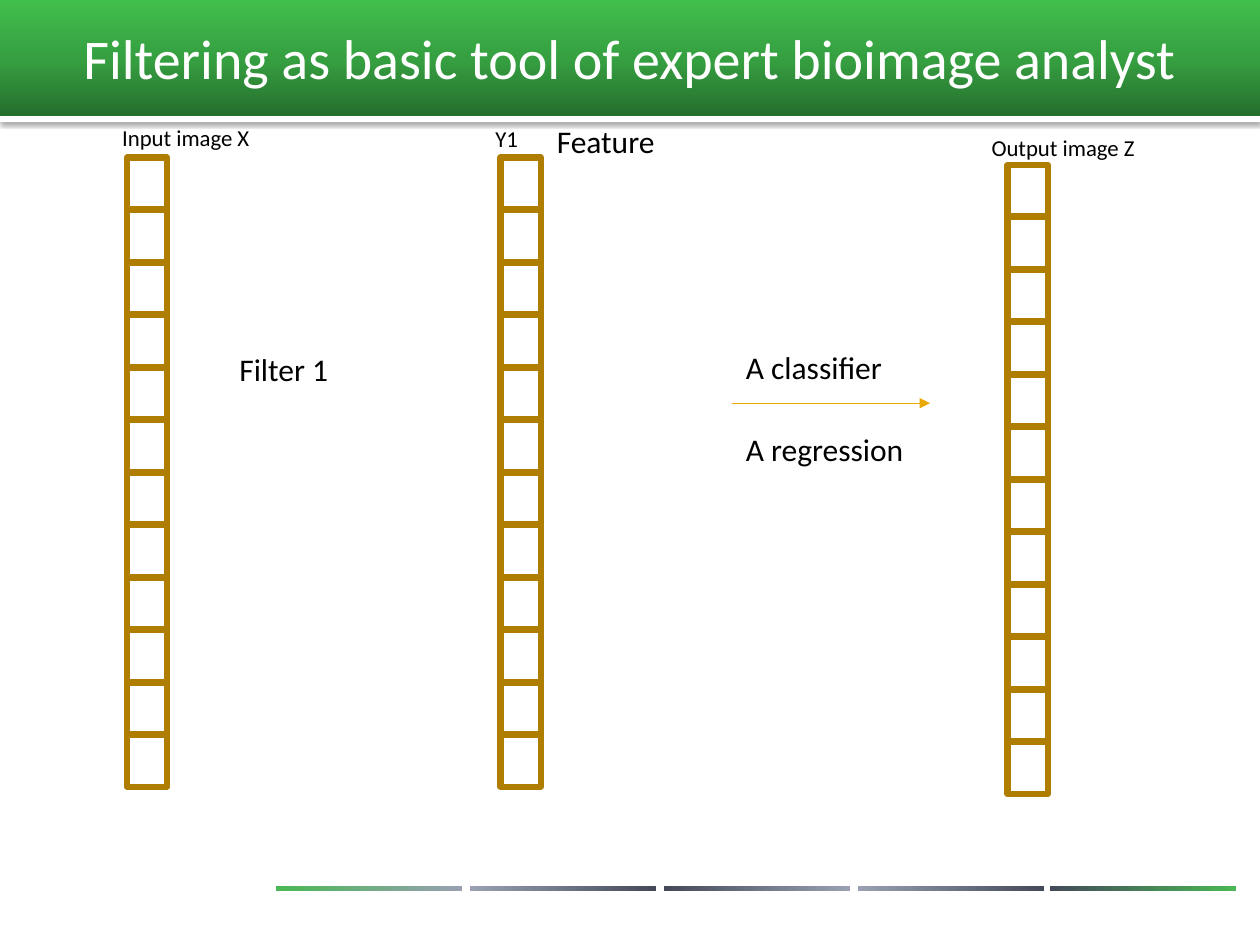
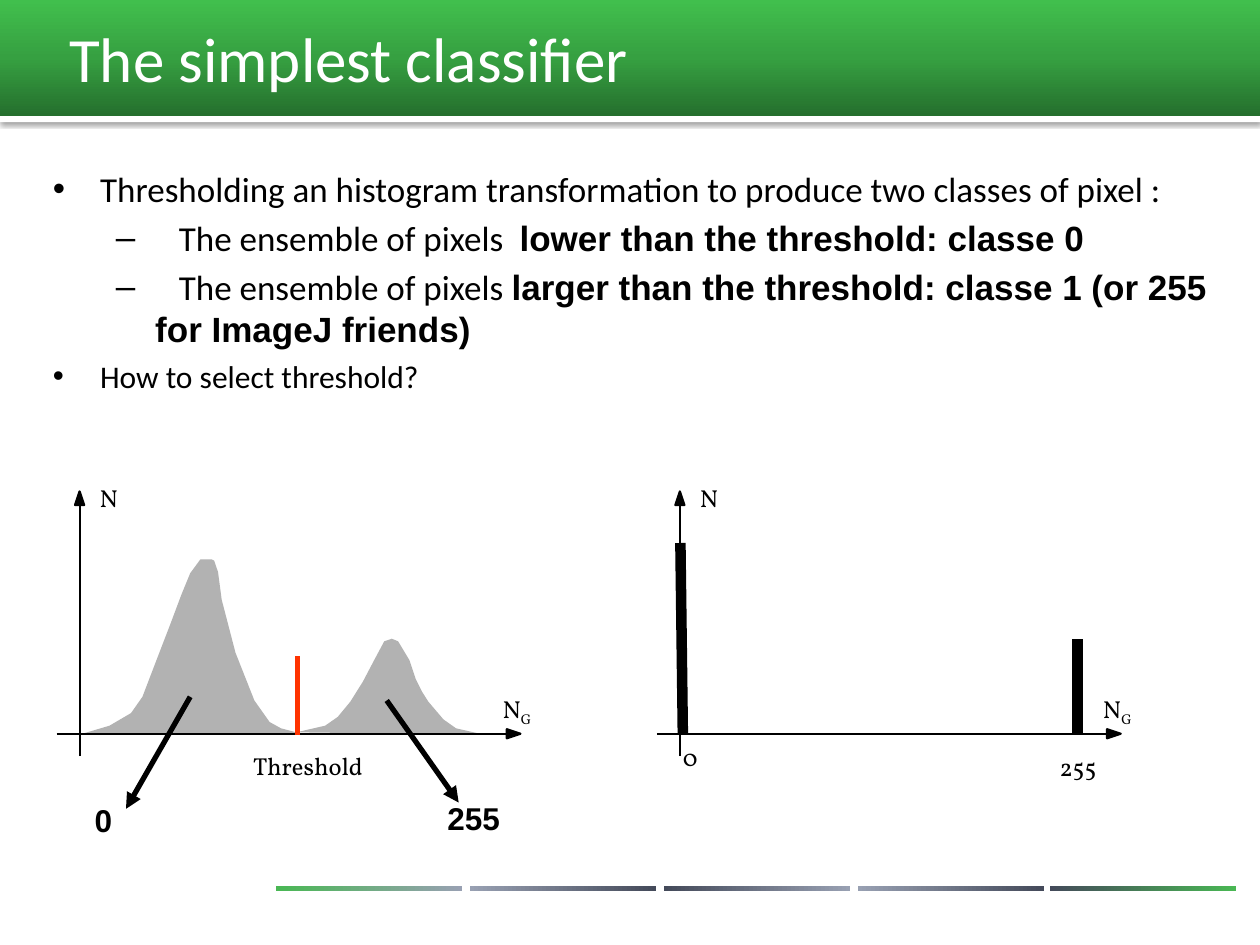
"""Build two slides on filtering and thresholding for image analysis."""
import copy
from dataclasses import dataclass

import pptx
import pptx.dml.color
import pptx.enum.shapes
import pptx.enum.text
import pptx.oxml
import pptx.oxml.ns
import pptx.util
from lxml import etree

Pt = pptx.util.Pt
qn = pptx.oxml.ns.qn
ALIGN = pptx.enum.text.PP_ALIGN
RECT = pptx.enum.shapes.MSO_SHAPE.RECTANGLE


@dataclass(frozen=True)
class Theme:
    """Colours, fonts and type sizes shared by the slides."""

    black: str = "000000"
    white: str = "FFFFFF"
    gold: str = "AF7E00"
    amber: str = "EAA900"
    gray: str = "B2B2B2"
    red: str = "FF3300"
    band: tuple = ("256F2D", "36A041", "41BF4D")
    green: str = "49B754"
    silver: str = "98A0B2"
    slate: str = "444A5A"
    body: str = "Calibri"
    strong: str = "Arial"
    axis: str = "Vollkorn"
    caption: float = 13
    axis_size: float = 14
    label: float = 18
    lead: float = 20
    inset: float = 3.6


T = Theme()

FILTER_TITLE = ("Filtering as basic tool of expert bioimage analyst", 32, ALIGN.CENTER)
CLASSIFIER_TITLE = ("The simplest classifier", 36, ALIGN.LEFT)

FOOTER_BARS = [
    (157.7, (T.green, T.silver)),
    (268.5, (T.silver, T.slate)),
    (379.4, (T.slate, T.silver)),
    (490.2, (T.silver, T.slate)),
    (599.8, (T.slate, T.green)),
]

PIXEL_COUNT, PIXEL_PITCH, PIXEL_SIZE = 12, 30, (23, 29.5)
PIXEL_COLUMNS = [(72.5, 90), (286, 90), (575.7, 94.2)]
FILTER_LABELS = [
    ("Input image X", T.caption, (66.2, 67, 104, 22)),
    ("Y1", T.caption, (279.4, 67.7, 104, 22)),
    ("Output image Z", T.caption, (563, 72.7, 104, 22)),
    ("Feature", T.label, (314.6, 66.2, 91, 27)),
    ("Filter 1", T.label, (133.2, 196.6, 91, 27)),
    ("A classifier", T.label, (422.6, 195.1, 113, 27)),
    ("A regression", T.label, (422.6, 241.9, 113, 27)),
]

BULLETS = [
    (0, T.lead, [("Thresholding an histogram transformation to produce two classes of pixel :", False)]),
    (1, T.lead, [("\tThe ensemble of pixels  ", False),
                 ("lower than the threshold: classe 0", True)]),
    (1, T.lead, [("\tThe ensemble of pixels ", False),
                 ("larger than the threshold: classe 1 (or 255 for ImageJ friends)", True)]),
    (0, T.label, [("How to select threshold?", False)]),
]
BULLET_LEVELS = [("•", 27, -27), ("–", 58.5, -22.5)]

HUMPS = [
    [(169.2, 418.5), (185.8, 414.7), (193, 409.7), (200.2, 401), (207.4, 389.5),
     (213.8, 377.3), (219.6, 366.5), (223.9, 365), (227.5, 366.5), (234, 377.3),
     (237.6, 388.1), (241.2, 395.3), (244.8, 401), (253.4, 411.1), (260.6, 416.2),
     (276.5, 419.8)],
    [(45.4, 419.8), (62.6, 414.7), (74.9, 407.5), (81.4, 398.2), (90, 375.8),
     (97.2, 357.1), (103.7, 339.8), (108.7, 327.6), (114.5, 319.7), (121, 319.7),
     (122.4, 320.4), (124.6, 326.9), (126.7, 342.7), (134.6, 373), (145.4, 400.3),
     (154.1, 412.6), (160.6, 416.2), (174.2, 419.8)],
]
GRAPH_OFFSETS = [0, 343]
GRAPH_LABELS = [
    ("Threshold", (144.7, 429.1, 78, 17)),
    ("0", (390.2, 424.1, 10, 17)),
    ("255", (605.5, 429.8, 22, 17)),
]
CLASS_BARS = [((390.2, 419), (388.8, 310.3)), ((615.6, 419.8), (615.6, 365))]
CLASS_ARROWS = [
    ("0", (50.4, 454.3, 18, 29.5), (108.7, 398.2), (72, 462.2)),
    ("255", (252, 452.9, 38, 29.5), (221, 400.3), (262.1, 458.6)),
]


def rgb(value):
    """Turn a hex string into a colour."""
    return pptx.dml.color.RGBColor.from_string(value)


def add_box(slide, frame, fill=None, line=None, width=1):
    """Add a plain rectangle."""
    box = slide.shapes.add_shape(RECT, *map(Pt, frame))
    paint(box, fill, line, width)
    return box


def paint(shape, fill=None, line=None, width=1):
    """Give a shape its fill and outline and no shadow."""
    shape.shadow.inherit = False
    if fill:
        shape.fill.solid()
        shape.fill.fore_color.rgb = rgb(fill)
    else:
        shape.fill.background()
    if line:
        shape.line.color.rgb = rgb(line)
        shape.line.width = Pt(width)
    else:
        shape.line.fill.background()


def add_gradient(slide, frame, colors, angle=0):
    """Add a rectangle with evenly spaced gradient stops."""
    box = add_box(slide, frame)
    box.fill.gradient()
    box.fill.gradient_angle = angle
    stops = box.element.spPr.find(".//" + qn("a:gsLst"))
    for stop in list(stops):
        stops.remove(stop)
    for i, color in enumerate(colors):
        stop = etree.SubElement(stops, qn("a:gs"), pos=str(100000 * i // (len(colors) - 1)))
        etree.SubElement(stop, qn("a:srgbClr"), val=color)
    return box


def add_line(slide, start, end, color, width, arrow=False):
    """Add a straight line, with an arrowhead at its end if asked."""
    line = slide.shapes.add_connector(
        pptx.enum.shapes.MSO_CONNECTOR.STRAIGHT, *map(Pt, (*start, *end)))
    line.line.color.rgb = rgb(color)
    line.line.width = Pt(width)
    properties = line.element.spPr
    if arrow:
        etree.SubElement(properties.find(qn("a:ln")), qn("a:tailEnd"), type="triangle")
    etree.SubElement(properties, qn("a:effectLst"))


def add_outline(slide, points, fill, line=None, width=1):
    """Add a closed polygon."""
    first, *rest = [tuple(map(Pt, point)) for point in points]
    builder = slide.shapes.build_freeform(*first)
    builder.add_line_segments(rest, close=True)
    paint(builder.convert_to_shape(), fill, line, width)


def set_frame(frame, inset, wrap):
    """Set equal margins and wrapping."""
    frame.word_wrap = wrap
    frame.margin_left = frame.margin_right = Pt(inset)
    frame.margin_top = frame.margin_bottom = Pt(inset)


def add_run(paragraph, text, size, font=T.body, color=T.black, bold=False):
    """Add one formatted run."""
    run = paragraph.add_run()
    run.text = text
    run.font.size = Pt(size)
    run.font.name = font
    run.font.bold = bold
    run.font.color.rgb = rgb(color)


def add_label(slide, texts, frame, size, font=T.body, bold=False, inset=T.inset, wrap=True):
    """Add a text box holding one paragraph of runs."""
    label = slide.shapes.add_textbox(*map(Pt, frame))
    set_frame(label.text_frame, inset, wrap)
    for text in texts:
        add_run(label.text_frame.paragraphs[0], text, size, font, bold=bold)
    return label


def add_axis_label(slide, texts, frame):
    """Add a label in the axis style."""
    return add_label(slide, texts, frame, T.axis_size, T.axis, inset=0, wrap=False)


def set_title(slide, text, size, align):
    """Place and format the title placeholder."""
    title = slide.shapes.title
    title.left, title.top, title.width, title.height = map(Pt, (36, 2.9, 648, 60))
    set_frame(title.text_frame, T.inset, True)
    title.text_frame.auto_size = pptx.enum.text.MSO_AUTO_SIZE.NONE
    title.text_frame.vertical_anchor = pptx.enum.text.MSO_ANCHOR.MIDDLE
    paragraph = title.text_frame.paragraphs[0]
    paragraph.alignment = align
    add_run(paragraph, text, size, color=T.white)


def decorate_layout(layout, slide):
    """Draw the band and footer once and hand them to the layout."""
    strip = add_box(slide, (0, 66.2, 720, 3.6), T.white)
    shadow = etree.SubElement(
        strip.element.spPr.find(qn("a:effectLst")), qn("a:outerShdw"),
        blurRad=str(Pt(3)), dist=str(Pt(0.8)), dir="5400000", rotWithShape="0")
    shade = etree.SubElement(shadow, qn("a:srgbClr"), val=T.black)
    etree.SubElement(shade, qn("a:alpha"), val="60000")
    parts = [strip, add_gradient(slide, (0, 0, 720, 66.2), T.band, 90)]
    parts += [add_gradient(slide, (left, 506.2, 106.5, 2.9), colors)
              for left, colors in FOOTER_BARS]
    for i, part in enumerate(parts):
        shared = copy.deepcopy(part.element)
        shared.find(".//" + qn("p:cNvPr")).set("id", str(20 + i))
        layout.shapes.element.insert(2 + i, shared)
        part.element.getparent().remove(part.element)


def build_filter_slide(slide):
    """Draw the pixel columns and the steps between them."""
    set_title(slide, *FILTER_TITLE)
    for left, top in PIXEL_COLUMNS:
        for i in range(PIXEL_COUNT):
            add_box(slide, (left, top + i * PIXEL_PITCH, *PIXEL_SIZE), line=T.gold, width=3.5)
    add_line(slide, (418.3, 230.4), (531.4, 230.4), T.amber, 0.5, arrow=True)
    for text, size, frame in FILTER_LABELS:
        add_label(slide, [text], frame, size)


def add_bullets(slide):
    """Write the bulleted text."""
    body = slide.shapes.add_textbox(*map(Pt, (26.6, 92.2, 678.3, 220)))
    set_frame(body.text_frame, T.inset, True)
    for i, (level, size, runs) in enumerate(BULLETS):
        paragraph = body.text_frame.add_paragraph() if i else body.text_frame.paragraphs[0]
        paragraph.level = level
        if i:
            paragraph.space_before = Pt(4)
        mark, margin, indent = BULLET_LEVELS[level]
        properties = list(body.element.iter(qn("a:pPr")))[-1]
        properties.set("marL", str(Pt(margin)))
        properties.set("indent", str(Pt(indent)))
        etree.SubElement(properties, qn("a:buFont"), typeface=T.strong)
        etree.SubElement(properties, qn("a:buChar"), char=mark)
        for text, strong in runs:
            add_run(paragraph, text, size, T.strong if strong else T.body, bold=strong)


def add_axes(slide, dx):
    """Draw one pair of histogram axes with its labels."""
    x, y = 45.5 + dx, 419.3
    tip = 297.4 + dx
    add_line(slide, (x, 432), (x, 287.3), T.black, 1.25)
    add_line(slide, (32.4 + dx, y), (290 + dx, y), T.black, 1.25)
    for head in ([(x, 280.8), (x + 2.6, 288.6), (x - 2.6, 288.6)],
                 [(tip, y), (tip - 7.8, y + 2.6), (tip - 7.8, y - 2.6)]):
        add_outline(slide, head, T.black, T.black, 1.25)
    add_axis_label(slide, ["N"], (56.9 + dx, 275.8, 13, 17))
    gray_level = add_axis_label(slide, ["N", "G"], (287.3 + dx, 396.7, 19.5, 19.5))
    list(gray_level.element.iter(qn("a:rPr")))[-1].set("baseline", "-25000")


def build_classifier_slide(slide):
    """Draw the bullets and both histograms."""
    set_title(slide, *CLASSIFIER_TITLE)
    add_bullets(slide)
    for hump in HUMPS:
        add_outline(slide, hump, T.gray)
    for dx in GRAPH_OFFSETS:
        add_axes(slide, dx)
    for text, frame in GRAPH_LABELS:
        add_axis_label(slide, [text], frame)
    add_line(slide, (169.9, 375.1), (169.9, 419.8), T.red, 3)
    for start, end in CLASS_BARS:
        add_line(slide, start, end, T.black, 6)
    for text, frame, start, end in CLASS_ARROWS:
        add_line(slide, start, end, T.black, 3, arrow=True)
        add_label(slide, [text], frame, T.label, T.strong, bold=True, wrap=False)


def main():
    """Build and save the presentation."""
    deck = pptx.Presentation()
    deck.slide_width, deck.slide_height = Pt(720), Pt(540)
    title_only = deck.slide_layouts[5]
    for i, build in enumerate((build_filter_slide, build_classifier_slide)):
        slide = deck.slides.add_slide(title_only)
        if i == 0:
            decorate_layout(title_only, slide)
        build(slide)
    deck.save("out.pptx")


if __name__ == "__main__":
    main()
